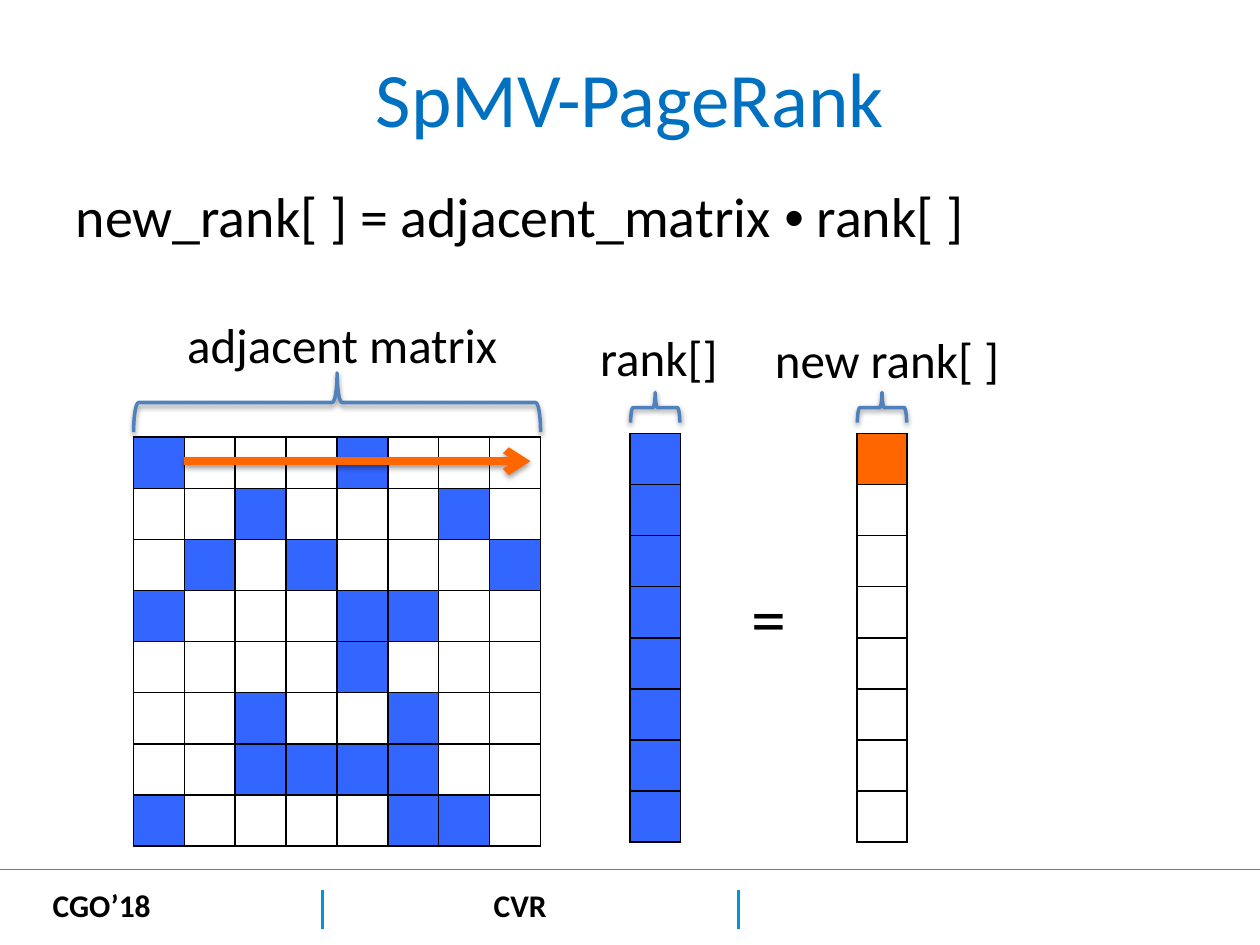
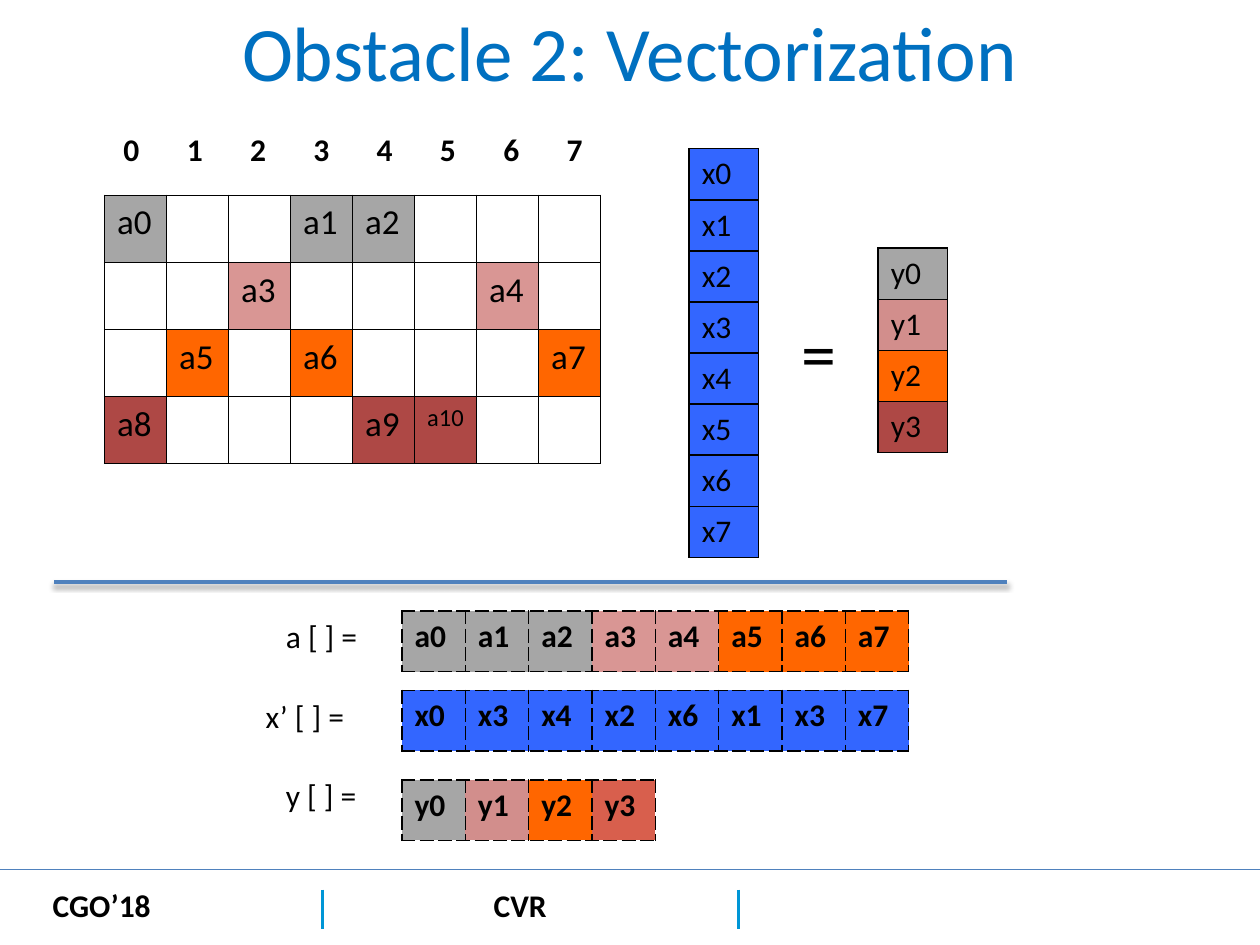
"""Build two slides on sparse matrix-vector products: PageRank and vectorization."""
from lxml import etree
from pptx import Presentation
from pptx.dml.color import RGBColor
from pptx.enum.shapes import MSO_CONNECTOR, MSO_SHAPE
from pptx.enum.text import MSO_ANCHOR, MSO_AUTO_SIZE, PP_ALIGN
from pptx.oxml import parse_xml
from pptx.oxml.ns import qn
from pptx.util import Pt

STRAIGHT = MSO_CONNECTOR.STRAIGHT
LEFT_BRACE = MSO_SHAPE.LEFT_BRACE
MIDDLE = MSO_ANCHOR.MIDDLE
NO_AUTOFIT = MSO_AUTO_SIZE.NONE
LEFT, CENTER = PP_ALIGN.LEFT, PP_ALIGN.CENTER
DRAWING = "http://schemas.openxmlformats.org/drawingml/2006/main"
FONT = "Calibri"
COLORS = {
    "title": "0070C0", "text": "000000", "line": "4F81BD", "divider": "0096D6",
    "white": "FFFFFF", "blue": "3366FF", "orange": "FF6600", "gray": "A6A6A6",
    "pink": "D99694", "rose": "D28E8C", "red": "AE4845", "coral": "D85F4D",
}
RGB = {name: RGBColor.from_string(value) for name, value in COLORS.items()}

presentation = Presentation()
presentation.slide_width = Pt(720)
presentation.slide_height = Pt(540)
COLUMN = presentation.slide_width / 100
ROW = presentation.slide_height / 75


def box(*lengths):
    """Turn alternating columns and rows into slide units."""
    return [round(length * (ROW if index % 2 else COLUMN))
            for index, length in enumerate(lengths)]


def add_grid(slide, place, rows, size=18, bold=False, border="solid", padding=1):
    """Add a table whose cells are pairs of text and fill colour."""
    left, top, width, height = box(*place)
    table = slide.shapes.add_table(
        len(rows), len(rows[0]), left, top, width, height).table
    table.first_row = table.horz_banding = False
    for row_index, row in enumerate(rows):
        for column_index, (text, color) in enumerate(row):
            cell = table.cell(row_index, column_index)
            cell.fill.solid()
            cell.fill.fore_color.rgb = RGB[color]
            cell.margin_left = round(padding * COLUMN)
            paragraph = cell.text_frame.paragraphs[0]
            if text:
                paragraph.text = text
                font = paragraph.runs[0].font
                font.name, font.size, font.bold = FONT, Pt(size), bold
                font.color.rgb = RGB["text"]
            paint = "<a:noFill/>"
            if border:
                paint = (f'<a:solidFill><a:srgbClr val="{COLORS["text"]}"/></a:solidFill>'
                         f'<a:prstDash val="{border}"/>')
            for index, side in enumerate("LRTB"):
                cell._tc.get_or_add_tcPr().insert(index, parse_xml(
                    f'<a:ln{side} xmlns:a="{DRAWING}" w="12700">{paint}</a:ln{side}>'))
    return table


pagerank = presentation.slides.add_slide(presentation.slide_layouts[1])
vectorization = presentation.slides.add_slide(presentation.slide_layouts[5])
slides = [pagerank, vectorization]

for slide, text, place in (
    (pagerank, "SpMV-PageRank", (5, 3, 90, 9.3)),
    (vectorization, "Obstacle 2: Vectorization", (5, 1.3, 90, 5.4)),
):
    title = slide.shapes.title
    title.left, title.top, title.width, title.height = box(*place)
    title.text_frame.text = text
    title.text_frame.auto_size = NO_AUTOFIT
    title.text_frame.vertical_anchor = MIDDLE
    paragraph = title.text_frame.paragraphs[0]
    paragraph.alignment = CENTER
    font = paragraph.runs[0].font
    font.name, font.size = FONT, Pt(44)
    font.color.rgb = RGB["title"]

body = pagerank.placeholders[1]
body.left, body.top, body.width, body.height = box(5, 13.9, 90, 51.5)
body.text_frame.auto_size = NO_AUTOFIT
paragraph = body.text_frame.paragraphs[0]
paragraph.space_before = Pt(0)
properties = paragraph._p.get_or_add_pPr()
properties.set("marL", "0")
properties.set("indent", "0")
etree.SubElement(properties, qn("a:buNone"))
for text, font_name in (("new_rank[ ] = adjacent_matrix ", FONT),
                        ("•", "Arial"), (" rank[ ]", FONT)):
    run = paragraph.add_run()
    run.text = text
    run.font.name, run.font.size = font_name, Pt(32)
    run.font.color.rgb = RGB["text"]

pattern = [
    "#...#...",
    "..#...#.",
    ".#.#...#",
    "#...##..",
    "....#...",
    "..#..#..",
    "..####..",
    "#....##.",
]
adjacency = [[("", "blue" if mark == "#" else "white") for mark in line]
             for line in pattern]
add_grid(pagerank, (10.6, 34.7, 32.3, 32.4), adjacency)
add_grid(pagerank, (50, 34.4, 4, 32.4), [[("", "blue")]] * 8)
add_grid(pagerank, (68, 34.4, 4, 32.4),
         [[("", "orange")]] + [[("", "white")]] * 7)

entries = [(0, 0), (0, 3), (0, 4), (1, 2), (1, 6), (2, 1),
           (2, 3), (2, 7), (3, 0), (3, 4), (3, 5)]
row_colors = ["gray", "pink", "orange", "red"]
matrix = [[("", "white")] * 8 for _ in row_colors]
for index, (row, column) in enumerate(entries):
    matrix[row][column] = (f"a{index}", row_colors[row])
matrix_table = add_grid(vectorization, (8.3, 15.5, 39.4, 21.3), matrix, size=20)
last_entry = matrix_table.cell(*entries[-1]).text_frame.paragraphs[0]
last_entry.runs[0].font.size = Pt(14)

add_grid(vectorization, (54.7, 11.8, 5.5, 32.4),
         [[(f"x{index}", "blue")] for index in range(8)])
add_grid(vectorization, (8.3, 9.9, 40.2, 4.8),
         [[(str(index), "white") for index in range(8)]],
         bold=True, border=None, padding=1.5)
add_grid(vectorization, (69.7, 19.7, 5.5, 16.2),
         [[(f"y{index}", color)]
          for index, color in enumerate(["gray", "rose", "orange", "red"])])

lanes = entries[:8]
vectors = [
    (48.5, [matrix[row][column] for row, column in lanes]),
    (54.8, [(f"x{column}", "blue") for row, column in lanes]),
    (61.9, [(f"y{index}", color)
            for index, color in enumerate(["gray", "rose", "orange", "coral"])]),
]
for top, cells in vectors:
    add_grid(vectorization, (31.9, top, 5.03 * len(cells), 4.8), [cells],
             bold=True, border="sysDash")

labels = [
    (pagerank, "=", 40, LEFT, (58.7, 45.1, 4.7, 7.9)),
    (pagerank, "adjacent matrix", 28, CENTER, (11.4, 24.5, 31.5, 5.7)),
    (pagerank, "rank[]", 28, CENTER, (41.3, 25.5, 22, 5.7)),
    (pagerank, "new rank[ ]", 28, CENTER, (59.4, 25.7, 22, 5.7)),
    (vectorization, "a [ ] =", 18, LEFT, (21.7, 48.5, 7.9, 4)),
    (vectorization, "x’ [ ] =", 18, LEFT, (20.1, 54.8, 9.4, 4)),
    (vectorization, "y [ ] =", 18, LEFT, (21.7, 61.1, 7.9, 4)),
    (vectorization, "=", 40, LEFT, (62.6, 24.1, 4.7, 7.9)),
]
footers = [("CGO’18", (3.2, 69.8, 9.9, 4)), ("CVR", (38.2, 69.8, 6.3, 4))]
footer_labels = [(slide, text, 18, LEFT, place)
                 for slide in slides for text, place in footers]
for slide, text, size, alignment, place in labels + footer_labels:
    is_footer = (text, place) in footers
    frame = slide.shapes.add_textbox(*box(*place)).text_frame
    frame.word_wrap = not is_footer
    frame.text = text
    paragraph = frame.paragraphs[0]
    paragraph.alignment = alignment
    font = paragraph.runs[0].font
    font.name, font.size, font.bold = FONT, Pt(size), is_footer
    font.color.rgb = RGB["text"]

rules = [
    (pagerank, (14.6, 36.6, 42.1, 36.6), "orange", 4.5, True),
    (vectorization, (4.3, 46.2, 79.9, 46.2), "line", 2, True),
]
for slide in slides:
    rules += [(slide, (x, 70.6, x, 73.7), "divider", 2, False) for x in (25.6, 58.6)]
    rules.append((slide, (0, 69, 100, 69), "line", 1, False))

outlines = []
for slide, ends, color, width, shadowed in rules:
    connector = slide.shapes.add_connector(STRAIGHT, *box(*ends))
    connector.line.color.rgb = RGB[color]
    connector.line.width = Pt(width)
    if color == "orange":
        etree.SubElement(connector.line._get_or_add_ln(), qn("a:tailEnd"), type="arrow")
    outlines.append((connector, shadowed))

for place in ((24.4, 15.8, 4.7, 32.3), (50.8, 30.4, 2.4, 3.9), (68.8, 30.4, 2.4, 3.9)):
    brace = pagerank.shapes.add_shape(LEFT_BRACE, *box(*place))
    brace.rotation = 90
    brace.fill.background()
    brace.line.color.rgb = RGB["line"]
    brace.line.width = Pt(2)
    outlines.append((brace, True))

for shape, shadowed in outlines:
    effects = etree.SubElement(shape._element.spPr, qn("a:effectLst"))
    if shadowed:
        shadow = etree.SubElement(effects, qn("a:outerShdw"), blurRad="40000",
                                  dist="20000", dir="5400000", rotWithShape="0")
        shade = etree.SubElement(shadow, qn("a:srgbClr"), val=COLORS["text"])
        etree.SubElement(shade, qn("a:alpha"), val="38000")

presentation.save("out.pptx")
